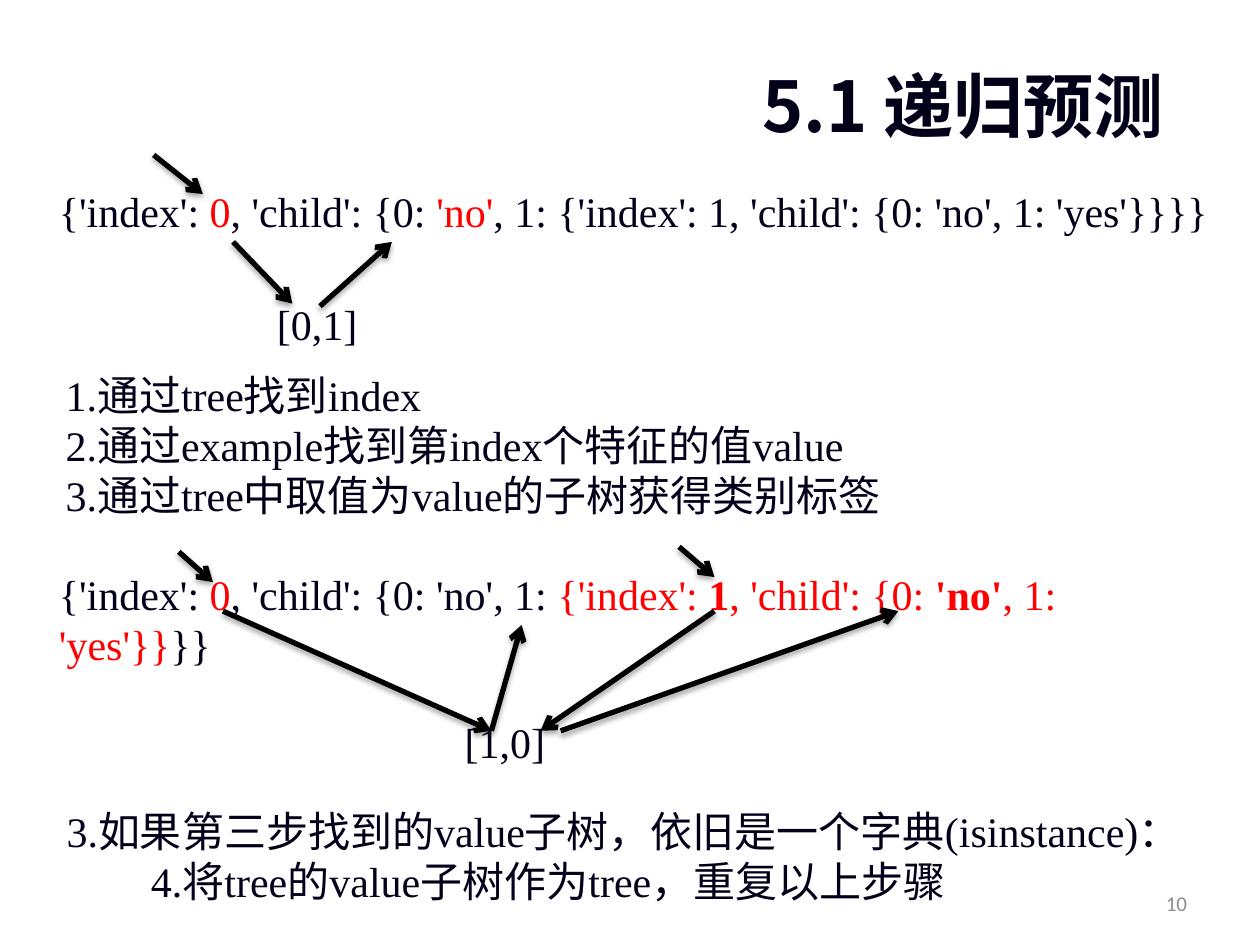
from pptx import Presentation, util as u
from pptx.dml.color import RGBColor
from pptx.enum import shapes, text
from pptx.oxml import parse_xml
from pptx.oxml.ns import nsdecls, qn

THEME = {
    "ink": "03001A", "red": "FF0000", "gray": "8C8C8C", "arrow": "000000",
    "latin": "Times New Roman", "cjk": "Noto Sans CJK SC", "number": "Calibri",
    "title": 40, "body": 24, "small": 12, "stroke": 3,
}

TITLE = "5.1 递归预测"
STEPS = ["1.通过tree找到index",
         "2.通过example找到第index个特征的值value",
         "3.通过tree中取值为value的子树获得类别标签"]
FIRST_TREE = [("{'index': ", ""), ("0", "r"), (", 'child': {0: ", ""), ("'no'", "r"),
              (", 1: {'index': 1, 'child': {0: 'no', 1: 'yes'}}}}", "")]
SECOND_TREE = [("{'index': ", ""), ("0", "r"), (", 'child': {0: 'no', 1: ", ""),
               ("{'index': ", "r"), ("1", "rb"), (", 'child': {0: ", "r"),
               ("'no'", "rb"), (", 1: 'yes'}}", "r"), ("}}", "")]
RECURSION = ["3.如果第三步找到的value子树，依旧是一个字典(isinstance)：",
             "4.将tree的value子树作为tree，重复以上步骤"]
RECURSION_INDENT = 0.67

TEXT_BOXES = [
    ((0.37, 1.42, 9.36, 0.5), [FIRST_TREE], True),
    ((2.1, 2.32, 0.84, 0.5), [[("[0,1]", "")]], False),
    ((0.37, 4.46, 9.36, 0.9), [SECOND_TREE], True),
    ((3.59, 5.64, 0.84, 0.5), [[("[1,0]", "")]], False),
    ((0.43, 6.34, 9.44, 0.9), [[(line, "")] for line in RECURSION], False),
]
ARROWS = [
    ((1.22, 1.23), (1.61, 1.54)), ((1.85, 1.92), (2.32, 2.41)),
    ((2.54, 2.43), (3.11, 1.92)), ((1.42, 4.38), (1.69, 4.62)),
    ((5.39, 4.34), (5.67, 4.58)), ((1.77, 4.85), (3.9, 5.8)),
    ((3.9, 5.8), (4.14, 4.96)), ((5.67, 4.85), (4.29, 5.8)),
    ((4.45, 5.8), (7.13, 4.85)),
]


def place(shape, area):
    shape.left, shape.top, shape.width, shape.height = map(u.Inches, area)


def add_span(para, words, size="body", color="ink", latin="latin", bold=False):
    span = para.add_run()
    span.text = words
    font = span.font
    font.size, font.bold, font.name = u.Pt(THEME[size]), bold, THEME[latin]
    font.color.rgb = RGBColor.from_string(THEME[color])
    east_asian = parse_xml(f'<a:ea {nsdecls("a")} typeface="{THEME["cjk"]}"/>')
    span._r.get_or_add_rPr().find(qn("a:latin")).addnext(east_asian)


def fill_frame(frame, lines, wrap):
    frame.word_wrap = wrap
    frame.auto_size = text.MSO_AUTO_SIZE.NONE
    for number, line in enumerate(lines):
        para = frame.add_paragraph() if number else frame.paragraphs[0]
        para.space_before = u.Pt(0)
        for words, marks in line:
            add_span(para, words, color="red" if "r" in marks else "ink", bold="b" in marks)


def add_arrow(slide, start, end):
    arrow = slide.shapes.add_connector(
        shapes.MSO_CONNECTOR.STRAIGHT, *map(u.Inches, start + end))
    arrow.line.width = u.Pt(THEME["stroke"])
    arrow.line.color.rgb = RGBColor.from_string(THEME["arrow"])
    arrow.line._get_or_add_ln().append(
        parse_xml(f'<a:tailEnd {nsdecls("a")} type="arrow"/>'))
    arrow._element.spPr.append(parse_xml(
        f'<a:effectLst {nsdecls("a")}><a:outerShdw blurRad="40000" dist="23000" '
        f'dir="5400000" rotWithShape="0"><a:srgbClr val="{THEME["arrow"]}">'
        '<a:alpha val="35000"/></a:srgbClr></a:outerShdw></a:effectLst>'))


deck = Presentation()
deck.slide_width, deck.slide_height = u.Inches(10), u.Inches(7.5)
page = deck.slides.add_slide(deck.slide_layouts[1])

title = page.shapes.title
place(title, (0.33, 0.36, 9, 0.94))
title.text_frame.vertical_anchor = text.MSO_ANCHOR.MIDDLE
title_para = title.text_frame.paragraphs[0]
title_para.alignment = text.PP_ALIGN.RIGHT
add_span(title_para, TITLE, "title", latin="cjk", bold=True)

steps = page.placeholders[1]
place(steps, (0.42, 2.88, 7.07, 1.3))
fill_frame(steps.text_frame, [[(line, "")] for line in STEPS], False)
for para in steps.text_frame.paragraphs:
    props = para._p.get_or_add_pPr()
    props.set("marL", "0")
    props.set("indent", "0")
    props.append(parse_xml(f'<a:buNone {nsdecls("a")}/>'))

for area, lines, wrap in TEXT_BOXES:
    box = page.shapes.add_textbox(*map(u.Inches, area))
    fill_frame(box.text_frame, lines, wrap)
last_step = box.text_frame.paragraphs[-1]
last_step._p.get_or_add_pPr().set("marL", str(u.Inches(RECURSION_INDENT)))

for start, end in ARROWS:
    add_arrow(page, start, end)

page_number = page.shapes.add_textbox(*map(u.Inches, (7.19, 6.97, 2.33, 0.4)))
page_number.text_frame.vertical_anchor = text.MSO_ANCHOR.MIDDLE
number_para = page_number.text_frame.paragraphs[0]
number_para.alignment = text.PP_ALIGN.RIGHT
add_span(number_para, "10", "small", "gray", "number")

deck.save("out.pptx")
